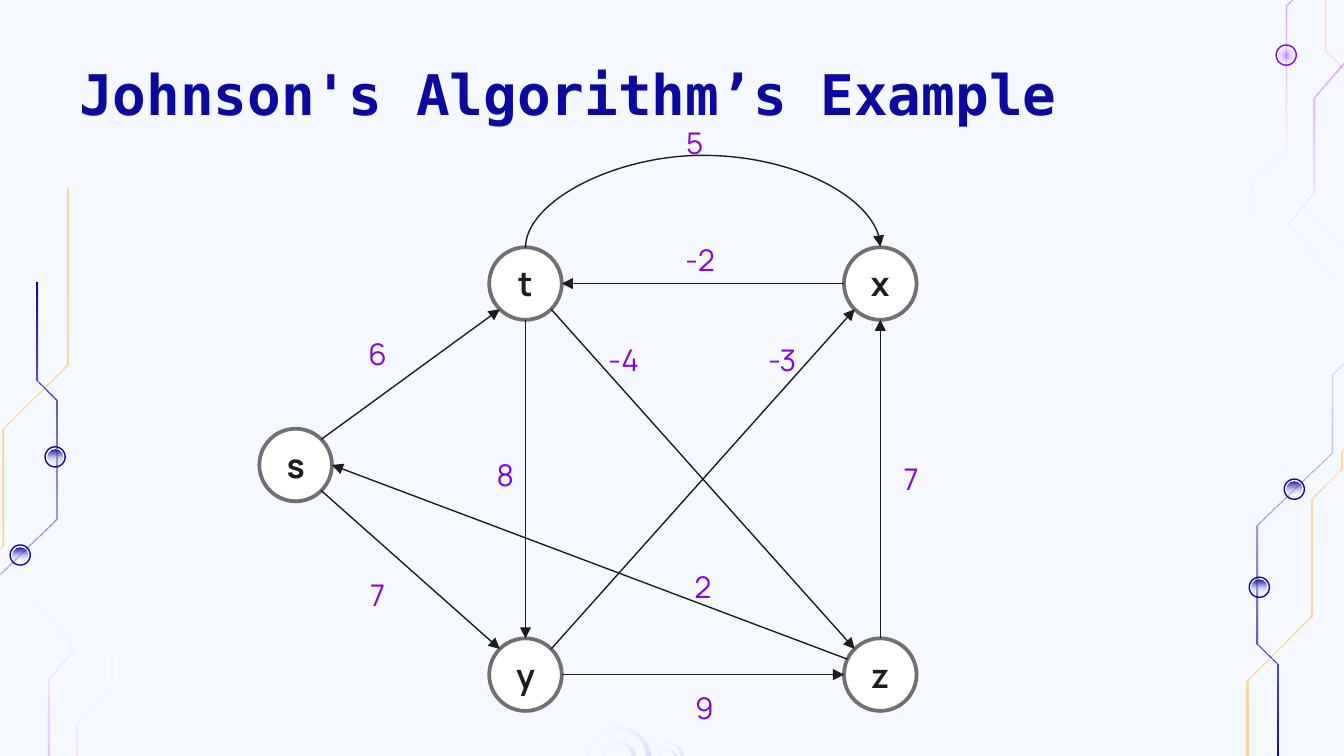
from dataclasses import dataclass
from math import cos, radians, sin

from lxml.etree import SubElement
from pptx import Presentation
from pptx.dml.color import RGBColor
from pptx.enum.shapes import MSO_CONNECTOR, MSO_SHAPE
from pptx.enum.text import MSO_ANCHOR, MSO_AUTO_SIZE, PP_ALIGN
from pptx.oxml.ns import qn
from pptx.util import Inches, Pt


@dataclass(frozen=True)
class Theme:
    """Colours, fonts and type sizes of the deck."""
    paper: str = "F5F8FF"
    navy: str = "0C0A9E"
    violet: str = "8208D5"
    glow: str = "9900FF"
    orange: str = "FF9900"
    ink: str = "1D1D1D"
    edge: str = "1C1C1C"
    rim: str = "707070"
    white: str = "FFFFFF"
    title_font: str = "DejaVu Sans Mono"
    body_font: str = "Manrope"
    title_size: int = 30
    node_size: int = 18
    weight_size: int = 16


@dataclass(frozen=True)
class Box:
    """A region of the page in inches."""
    left: float
    top: float
    width: float
    height: float


THEME = Theme()
CLEAR = (100, THEME.white, 0)
ORANGE_FADE = [(0, THEME.orange, 38), (100, THEME.orange, 20)]
NAVY_FADE = [(0, THEME.navy, 100), CLEAR]
VIOLET_FADE = [(0, THEME.glow, 47), CLEAR]
RING_FADE = [(0, THEME.navy, 20), CLEAR]

ORANGE_TRACE = [(0.5, 1.4), (0.5, 2.71), (0.02, 3.19), (0.02, 4.06), (-0.2, 4.28),
                (-0.2, 4.41), (-0.32, 4.53), (-0.32, 5.07), (-0.56, 5.31), (-0.56, 5.66),
                (-0.74, 5.84), (-0.74, 6.72), (-0.08, 7.39), (-0.08, 8.15)]
NAVY_TRACE = [(0.27, 2.1), (0.27, 2.83), (0.42, 2.98), (0.42, 3.86), (-0.13, 4.4),
              (-0.13, 4.98), (-0.37, 5.22), (-0.37, 5.79), (0.16, 6.32), (0.16, 6.71)]
VIOLET_TRACES = [
    [(0.2, 6.8), (0.57, 6.45), (0.57, 5.39), (0.83, 5.13), (0.83, 4.65)],
    [(-0.19, 6.41), (0.36, 5.76), (0.36, 5.06), (0.55, 4.83), (0.16, 4.36), (0.16, 4.13)],
]
DOTS = [(0.41, 3.4), (0.15, 4.13)]
TRACE_SUM = (9.78, 7.77)
VIOLET_SUM = (10.14, 6.49)

RADIUS = 0.27
NODES = {"t": (1.98, 1.23), "x": (4.62, 1.23), "z": (4.62, 4.14),
         "y": (1.98, 4.14), "s": (0.27, 2.58)}
EDGES = [("s", 7, "t", 3), ("s", 5, "y", 1), ("t", 4, "y", 0), ("x", 2, "t", 6),
         ("z", 0, "x", 4), ("y", 6, "z", 2), ("y", 7, "x", 3), ("t", 5, "z", 1),
         ("z", 1.44, "s", 6)]
WEIGHTS = [("2", 3.3, 3.3), ("5", 3.24, 0), ("-3", 3.89, 1.61), ("7", 0.88, 3.36),
           ("9", 3.31, 4.2), ("6", 0.88, 1.57), ("7", 4.85, 2.5), ("-2", 3.28, 0.87),
           ("-4", 2.71, 1.61), ("8", 1.83, 2.47)]


def colour(code):
    """Return the colour for a hex code."""
    return RGBColor.from_string(code)


def write(frame, text, *, font, size, color, bold=False, align=PP_ALIGN.LEFT,
          anchor=MSO_ANCHOR.TOP, inset=(0.1, 0.05)):
    """Put formatted text into a text frame."""
    frame.word_wrap = True
    frame.vertical_anchor = anchor
    frame.margin_left = frame.margin_right = Inches(inset[0])
    frame.margin_top = frame.margin_bottom = Inches(inset[1])
    para = frame.paragraphs[0]
    para.alignment = align
    span = para.add_run()
    span.text = text
    span.font.name, span.font.size, span.font.bold = font, Pt(size), bold
    span.font.color.rgb = colour(color)


def fade(shape, stops, angle=None):
    """Fill a shape with a fading gradient, radial when no angle is given."""
    shape.fill.gradient()
    gradient = shape._element.spPr.find(qn("a:gradFill"))
    stop_list = gradient.find(qn("a:gsLst"))
    for stop in list(stop_list):
        stop_list.remove(stop)
    for position, code, alpha in stops:
        stop = SubElement(stop_list, qn("a:gs"), pos=str(position * 1000))
        tint = SubElement(stop, qn("a:srgbClr"), val=code)
        SubElement(tint, qn("a:alpha"), val=str(alpha * 1000))
    linear = gradient.find(qn("a:lin"))
    if angle is None:
        gradient.remove(linear)
        radial = SubElement(gradient, qn("a:path"), path="circle")
        SubElement(radial, qn("a:fillToRect"), l="50000", t="50000", r="50000", b="50000")
    else:
        linear.set("ang", str(angle * 60000))


def add_round(page, kind, x, y, size):
    """Add a shadowless, unfilled and unlined round shape centred on a point."""
    shape = page.shapes.add_shape(kind, Inches(x - size / 2), Inches(y - size / 2),
                                  Inches(size), Inches(size))
    shape.shadow.inherit = False
    shape.fill.background()
    shape.line.fill.background()
    return shape


def outline(shape, code, width):
    """Set the line of a shape or connector."""
    shape.line.color.rgb = colour(code)
    shape.line.width = Pt(width)


def mirror(points, total):
    """Turn points half round, so that each pair adds up to the total."""
    return [(total[0] - x, total[1] - y) for x, y in points]


def draw_trace(page, box, points, stops, angle):
    """Draw a thin fading ribbon along the points."""
    half = 0.0075
    ribbon = [(x - half, y) for x, y in points] + [(x + half, y) for x, y in reversed(points)]
    corners = [(Inches(box.left + x), Inches(box.top + y)) for x, y in ribbon]
    builder = page.shapes.build_freeform(*corners[0])
    builder.add_line_segments(corners[1:])
    trace = builder.convert_to_shape()
    trace.shadow.inherit = False
    trace.line.fill.background()
    fade(trace, stops, angle)


def draw_dot(page, box, x, y, code, stops, angle=None):
    """Draw a ringed dot."""
    ring = add_round(page, MSO_SHAPE.OVAL, box.left + x, box.top + y, 0.15)
    outline(ring, code, 0.75)
    fade(add_round(page, MSO_SHAPE.OVAL, box.left + x, box.top + y, 0.11), stops, angle)


def draw_circuits(page, box):
    """Draw the circuit traces of the left edge and their turned twins on the right."""
    traces = [(ORANGE_TRACE, ORANGE_FADE, 90, TRACE_SUM), (NAVY_TRACE, NAVY_FADE, 90, TRACE_SUM)]
    traces += [(points, VIOLET_FADE, 270, VIOLET_SUM) for points in VIOLET_TRACES]
    for points, stops, angle, total in traces:
        draw_trace(page, box, points, stops, angle)
        draw_trace(page, box, mirror(points, total), stops, (angle + 180) % 360)
    for x, y in DOTS + mirror(DOTS, TRACE_SUM):
        draw_dot(page, box, x, y, THEME.navy, NAVY_FADE, 90)
    draw_dot(page, box, 9.57, 0.41, THEME.violet, VIOLET_FADE)


def draw_rings(page, box):
    """Draw two pairs of pale rings."""
    middle = box.top + box.height / 2
    for x, size, band in [(0.24, 0.48, 0.035), (0.24, 0.26, 0.03),
                          (0.6, 0.25, 0.02), (0.6, 0.14, 0.02)]:
        ring = add_round(page, MSO_SHAPE.DONUT, box.left + x, middle, size)
        ring.adjustments[0] = band / size
        fade(ring, RING_FADE, 225)


def draw_title(page, box, text):
    """Write the page title."""
    title = page.shapes.add_textbox(*map(Inches, (box.left, box.top, box.width, box.height)))
    write(title.text_frame, text, font=THEME.title_font, size=THEME.title_size,
          color=THEME.navy, bold=True, inset=(0.1, 0.1))


def add_arrow(page, kind, start, end):
    """Add a connector with an arrowhead at its end."""
    arrow = page.shapes.add_connector(kind, *map(Inches, (*start, *end)))
    outline(arrow, THEME.edge, 0.75)
    SubElement(arrow.line._get_or_add_ln(), qn("a:tailEnd"), type="triangle")
    SubElement(arrow._element.spPr, qn("a:effectLst"))
    return arrow


def draw_graph(page, box):
    """Draw the weighted directed graph."""
    def site(name, index):
        """Return the point of a node's connection site, in eighths of a turn."""
        x, y = NODES[name]
        turn = radians(45 * index)
        return box.left + x - RADIUS * sin(turn), box.top + y - RADIUS * cos(turn)

    nodes = {}
    for name, (x, y) in NODES.items():
        node = add_round(page, MSO_SHAPE.OVAL, box.left + x, box.top + y, 2 * RADIUS)
        node.fill.solid()
        node.fill.fore_color.rgb = colour(THEME.white)
        outline(node, THEME.rim, 2)
        write(node.text_frame, name, font=THEME.body_font, size=THEME.node_size, color=THEME.ink,
              bold=True, align=PP_ALIGN.CENTER, anchor=MSO_ANCHOR.MIDDLE, inset=(0, 0))
        nodes[name] = node

    for source, leave, target, arrive in EDGES:
        arrow = add_arrow(page, MSO_CONNECTOR.STRAIGHT, site(source, leave), site(target, arrive))
        links = arrow._element.nvCxnSpPr.cNvCxnSpPr
        for tag, name, index in [("a:stCxn", source, leave), ("a:endCxn", target, arrive)]:
            if isinstance(index, int):
                SubElement(links, qn(tag), id=str(nodes[name].shape_id), idx=str(index))

    (start, top), (end, _) = site("t", 0), site("x", 0)
    depth, span = 0.01, end - start
    arc = add_arrow(page, MSO_CONNECTOR.CURVE, (start, top), (end, top))
    arc.left, arc.top = Inches((start + end - depth) / 2), Inches(top - span / 2)
    arc.width, arc.height = Inches(depth), Inches(span)
    frame = arc._element.spPr.find(qn("a:xfrm"))
    for key, value in {"rot": "5400000", "flipH": "1", "flipV": "1"}.items():
        frame.set(key, value)
    guides = arc._element.spPr.find(qn("a:prstGeom")).get_or_add_avLst()
    SubElement(guides, qn("a:gd"), name="adj1", fmla="val 7000000")

    for text, x, y in WEIGHTS:
        width = 0.58 if len(text) > 1 else 0.43
        label = page.shapes.add_textbox(Inches(box.left + x - width / 2), Inches(box.top + y),
                                        Inches(width), Inches(0.36))
        label.text_frame.auto_size = MSO_AUTO_SIZE.SHAPE_TO_FIT_TEXT
        write(label.text_frame, text, font=THEME.body_font, size=THEME.weight_size,
              color=THEME.violet, align=PP_ALIGN.CENTER)


def main():
    """Build and save the deck."""
    deck = Presentation()
    deck.slide_width = Inches(10)
    deck.slide_height = deck.slide_width * 9 // 16
    page = deck.slides.add_slide(deck.slide_layouts[6])
    page.background.fill.solid()
    page.background.fill.fore_color.rgb = colour(THEME.paper)
    draw_circuits(page, Box(0, 0, 10, 5.62))
    draw_rings(page, Box(4.36, 5.4, 0.73, 0.48))
    draw_title(page, Box(0.49, 0.34, 8.43, 0.63), "Johnson's Algorithm’s Example")
    draw_graph(page, Box(1.93, 0.88, 5.06, 4.56))
    deck.save("out.pptx")


if __name__ == "__main__":
    main()
